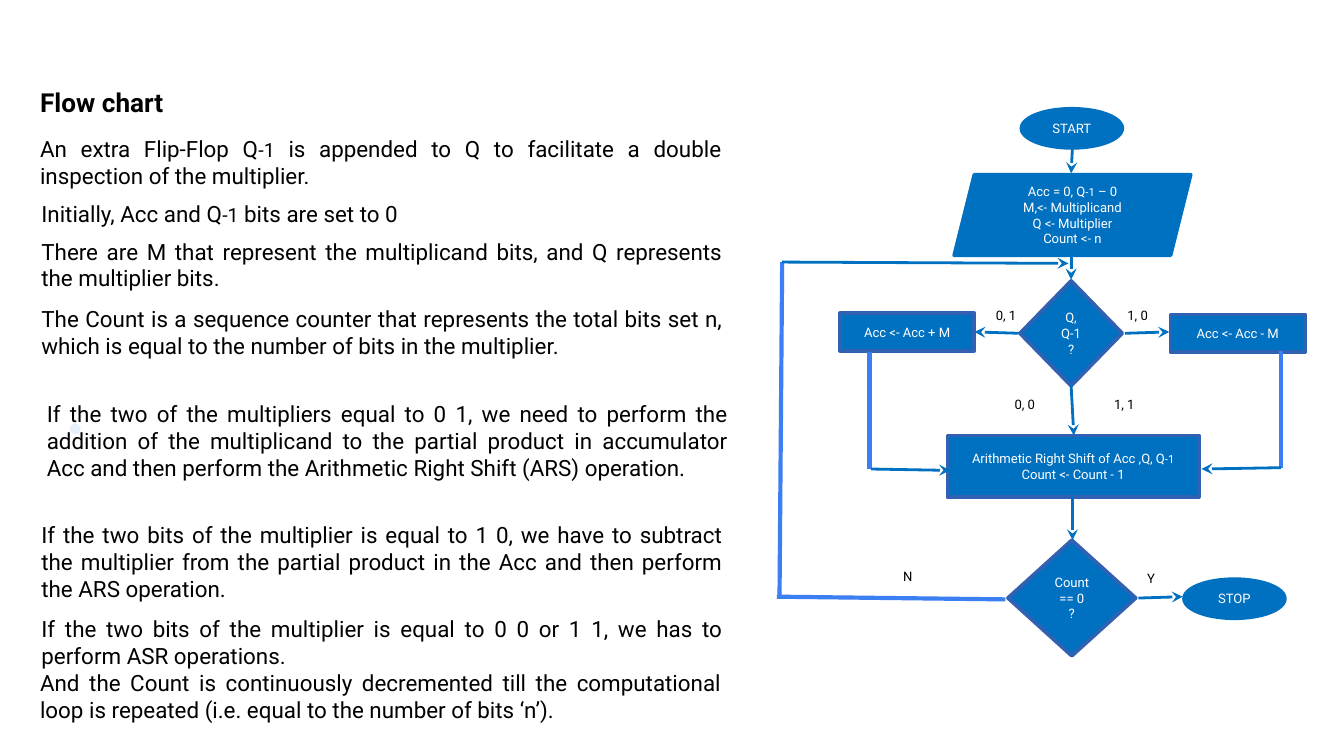
from lxml.etree import SubElement
from pptx import Presentation
from pptx.dml.color import RGBColor as RGB
from pptx.enum.shapes import MSO_CONNECTOR as LINK, MSO_SHAPE as FORM
from pptx.enum.text import MSO_ANCHOR as ANCHOR, MSO_AUTO_SIZE as FIT, PP_ALIGN as ALIGN
from pptx.oxml.ns import qn
from pptx.util import Pt

PX = 9144
COLORS = {
    "fill": "0070C0", "edge": "3061B2", "loop": "3B7FF2",
    "dot": "E5F0FC", "light": "FFFFFF", "dark": "000000",
}


def color(name):
    return RGB.from_string(COLORS[name])


def write(shape, text, align, size, small, ink, bold=False, **frame_format):
    frame = shape.text_frame
    frame.word_wrap = True
    for name, value in frame_format.items():
        setattr(frame, name, value)
    for number, line in enumerate(text.split("\n")):
        para = frame.paragraphs[0] if number == 0 else frame.add_paragraph()
        para.alignment = align
        for index, part in enumerate(line.split("|")):
            if not part:
                continue
            span = para.add_run()
            span.text = part
            span.font.color.rgb = color(ink)
            style = {"name": "Roboto", "size": Pt(small if index % 2 else size), "bold": bold}
            for name, value in style.items():
                setattr(span.font, name, value)


deck = Presentation()
deck.slide_width = 1000 * PX
deck.slide_height = deck.slide_width * 9 // 16
page = deck.slides.add_slide(deck.slide_layouts[6])

dot = page.shapes.add_shape(FORM.OVAL, 52 * PX, 315 * PX, 8 * PX, 8 * PX)
dot.shadow.inherit = False
dot.fill.solid()
dot.fill.fore_color.rgb = color("dot")
dot.line.fill.background()

steps = [
    (FORM.OVAL, 760, 81, 75, 29, "fill", "START"),
    (FORM.PARALLELOGRAM, 710, 130, 176, 60, "fill",
     "Acc = 0, Q|-1| – 0\nM,<- Multiplicand\nQ <- Multiplier\nCount <- n"),
    (FORM.DIAMOND, 759, 209, 76, 78, "edge", "Q,\nQ-1\n?"),
    (FORM.RECTANGLE, 625, 233, 100, 28, "edge", "Acc <- Acc + M"),
    (FORM.RECTANGLE, 871, 234, 100, 28, "edge", "Acc <- Acc - M"),
    (FORM.RECTANGLE, 705, 324, 187, 46, "edge",
     "Arithmetic Right Shift of Acc ,Q, Q|-1\nCount <- Count - 1"),
    (FORM.DIAMOND, 750, 402, 95, 86, "edge", "Count == 0\n?"),
    (FORM.OVAL, 881, 431, 75, 29, "fill", "STOP"),
]
for form, left, top, width, height, edge, text in steps:
    step = page.shapes.add_shape(form, left * PX, top * PX, width * PX, height * PX)
    step.shadow.inherit = False
    step.fill.solid()
    step.fill.fore_color.rgb = color("fill")
    step.line.color.rgb = color(edge)
    step.line.width = Pt(2)
    write(step, text, ALIGN.CENTER, 7, 6, "light", vertical_anchor=ANCHOR.MIDDLE)

arrows = [
    (798, 109, 797, 129), (797, 188, 797, 208), (758, 248, 725, 247),
    (648, 349, 707, 350), (837, 248, 870, 247), (953, 348, 894, 349),
    (797, 287, 799, 324), (798, 369, 798, 402), (847, 445, 880, 444),
    (582, 195, 795, 196),
]
loops = [
    (647, 262, 647, 349), (953, 261, 953, 348),
    (578, 444, 748, 446), (582, 195, 580, 443),
]
for ends, ink, weight, pointed in (
    (loops, "loop", 2.25, False), (arrows, "fill", 1.5, True),
):
    for points in ends:
        link = page.shapes.add_connector(LINK.STRAIGHT, *(point * PX for point in points))
        link.line.color.rgb = color(ink)
        link.line.width = Pt(weight)
        if pointed:
            SubElement(link.line._get_or_add_ln(), qn("a:tailEnd"), type="stealth")
        SubElement(link._element.spPr, qn("a:effectLst"))

labels = [
    ("0, 1", 728, 227), ("1, 0", 826, 227), ("0, 0", 742, 293),
    ("1, 1", 816, 293), ("Y", 836, 423), ("N", 655, 421),
]
for text, left, top in labels:
    label = page.shapes.add_textbox(left * PX, top * PX, 41 * PX, 15 * PX)
    write(label, text, ALIGN.CENTER, 7, 6, "dark", vertical_anchor=ANCHOR.MIDDLE)

notes = [
    (20, 96, 50, "An extra Flip-Flop Q|-1| is appended to Q to facilitate a double "
     "inspection of the multiplier. "),
    (21, 144, 30, "Initially, Acc and Q|-1| bits are set to 0"),
    (21, 172, 50, "There are M that represent the multiplicand bits, and Q represents "
     "the multiplier bits."),
    (21, 222, 50, "The Count is a sequence counter that represents the total bits set n, "
     "which is equal to the number of bits in the multiplier."),
    (25, 293, 71, "If the two of the multipliers equal to 0 1, we need to perform the "
     "addition of the multiplicand to the partial product in accumulator Acc and then "
     "perform the Arithmetic Right Shift (ARS) operation."),
    (21, 383, 71, "If the two bits of the multiplier is equal to 1 0, we have to subtract "
     "the multiplier from the partial product in the Acc and then perform the ARS operation."),
    (21, 453, 50, "If the two bits of the multiplier is equal to 0 0 or 1 1, we has to "
     "perform ASR operations."),
    (20, 493, 50, "And the Count is continuously decremented till the computational loop "
     "is repeated (i.e. equal to the number of bits ‘n’)."),
]
for left, top, height, text in notes:
    note = page.shapes.add_textbox(left * PX, top * PX, 527 * PX, height * PX)
    write(note, text, ALIGN.JUSTIFY, 12, 10.5, "dark", auto_size=FIT.SHAPE_TO_FIT_TEXT)

title = page.shapes.add_textbox(20 * PX, 59 * PX, 112 * PX, 34 * PX)
write(title, "Flow chart", ALIGN.LEFT, 14, 14, "dark", bold=True,
      word_wrap=False, auto_size=FIT.SHAPE_TO_FIT_TEXT)

deck.save("out.pptx")
